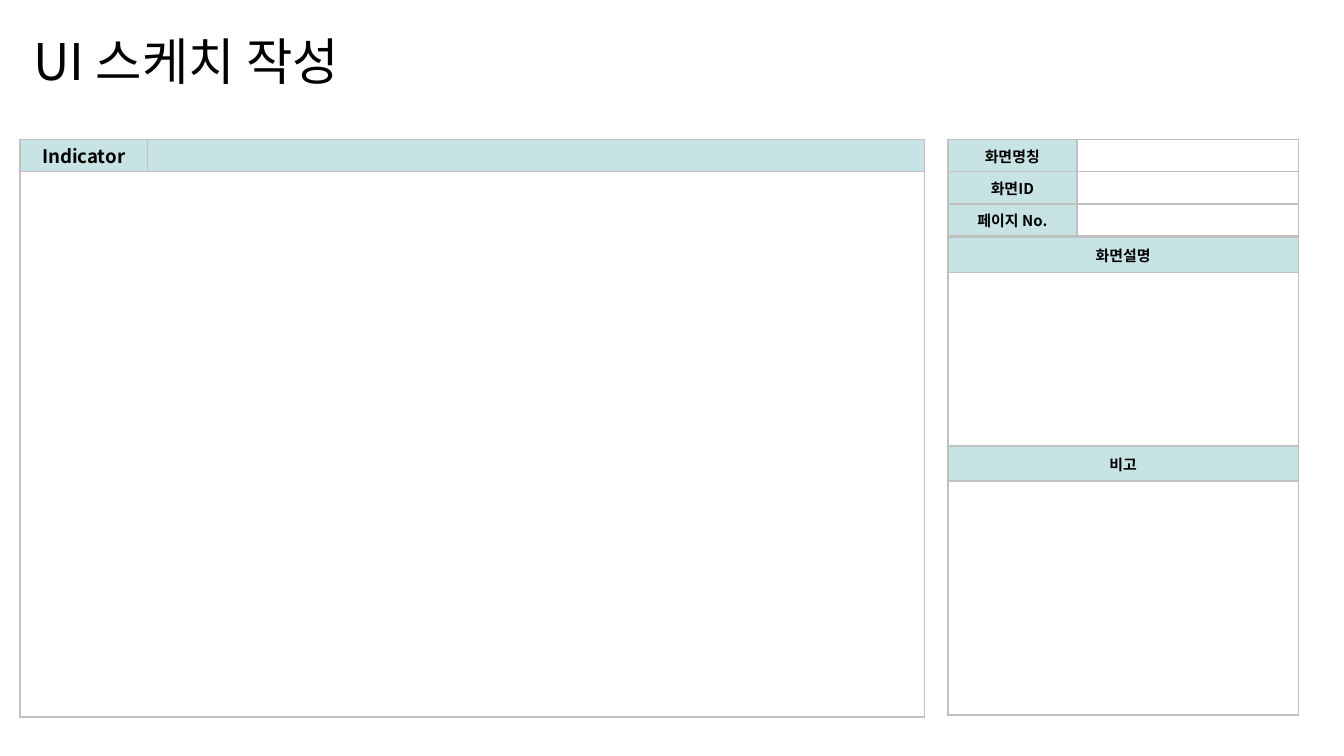
from lxml.etree import SubElement
from pptx import Presentation
from pptx.dml.color import RGBColor
from pptx.enum.text import MSO_ANCHOR, MSO_AUTO_SIZE, PP_ALIGN
from pptx.oxml import parse_xml
from pptx.oxml.ns import nsdecls, qn
from pptx.util import Pt

FONT = "Noto Sans CJK KR"
BLACK = RGBColor(0x00, 0x00, 0x00)
HEADER_FILL = RGBColor(0xC7, 0xE3, 0xE4)
BORDER = RGBColor(0xC0, 0xC0, 0xC0)

ROW = 17.28
TIGHT = 1.44


def write(frame, text, size=8, bold=False, align=PP_ALIGN.CENTER, line_spacing=None):
    paragraph = frame.paragraphs[0]
    paragraph.alignment = align
    paragraph.line_spacing = line_spacing
    run = paragraph.add_run()
    run.text = text
    run.font.size = Pt(size)
    run.font.bold = bold
    run.font.name = FONT
    run.font.color.rgb = BLACK
    # Korean glyphs take the East Asian typeface
    SubElement(run.font._element, qn("a:ea"), typeface=FONT)


def add_borders(cell):
    properties = cell._tc.get_or_add_tcPr()
    for index, side in enumerate(("lnL", "lnR", "lnT", "lnB")):
        properties.insert(index, parse_xml(
            f'<a:{side} {nsdecls("a")} w="{Pt(1)}"><a:solidFill>'
            f'<a:srgbClr val="{BORDER}"/></a:solidFill></a:{side}>'))


def add_grid(slide, box, columns, rows, labels, size=8, margin_x=7.2, margin_y=TIGHT):
    """Bordered table; labels maps (row, column) to the text of a header cell.

    A header cell with an empty label is filled only.
    """
    left, top, width, height = (Pt(length) for length in box)
    table = slide.shapes.add_table(
        len(rows), len(columns), left, top, width, height).table
    table.first_row = table.horz_banding = False
    for column, column_width in zip(table.columns, columns):
        column.width = Pt(column_width)
    for row, row_height in zip(table.rows, rows):
        row.height = Pt(row_height)

    for r in range(len(rows)):
        for c in range(len(columns)):
            cell = table.cell(r, c)
            cell.vertical_anchor = MSO_ANCHOR.MIDDLE
            cell.margin_left = cell.margin_right = Pt(margin_x)
            cell.margin_top = cell.margin_bottom = Pt(margin_y)
            if (r, c) in labels:
                cell.fill.solid()
                cell.fill.fore_color.rgb = HEADER_FILL
            else:
                cell.fill.background()
            add_borders(cell)
            label = labels.get((r, c))
            if label:
                write(cell.text_frame, label, size=size, bold=True)
            else:
                # Small empty text keeps the row at its height
                SubElement(cell.text_frame.paragraphs[0]._p,
                           qn("a:endParaRPr"), sz="800")
    return table


def place_title(slide, box):
    title = slide.shapes.title
    title.left, title.top, title.width, title.height = (Pt(length) for length in box)
    frame = title.text_frame
    frame.auto_size = MSO_AUTO_SIZE.NONE
    frame.vertical_anchor = MSO_ANCHOR.MIDDLE
    write(frame, "UI 스케치 작성", size=27, align=PP_ALIGN.LEFT, line_spacing=0.9)


def place_sketch_area(slide, box):
    width, height = box[2:]
    indicator = 68.4
    table = add_grid(slide, box, [indicator, width - indicator], [ROW, height - ROW],
                     {(0, 0): "Indicator", (0, 1): ""}, size=10)
    table.cell(1, 0).merge(table.cell(1, 1))


def place_screen_info(slide, box):
    width, height = box[2:]
    name_width = 69.12
    names = ["화면명칭", "화면ID", "페이지 No."]
    add_grid(slide, box, [name_width, width - name_width],
             [height / len(names)] * len(names),
             {(r, 0): name for r, name in enumerate(names)}, margin_x=5.76)


def place_description(slide, box):
    width, height = box[2:]
    header, description = 18.8, 92.9
    notes = height - 2 * header - description
    add_grid(slide, box, [width], [header, description, header, notes],
             {(0, 0): "화면설명", (2, 0): "비고"}, margin_y=3.6)


def main():
    presentation = Presentation()
    presentation.slide_width, presentation.slide_height = Pt(720), Pt(405)
    slide = presentation.slides.add_slide(presentation.slide_layouts[5])

    top, side_left, side_width = 74.7, 507.8, 187.9
    place_title(slide, (10.8, 12.24, 620.64, 44.64))
    place_sketch_area(slide, (10.6, top, 484.7, 309.6))
    place_screen_info(slide, (side_left, top, side_width, 3 * ROW))
    place_description(slide, (side_left, 127.2, side_width, 255.8))

    presentation.save("out.pptx")


if __name__ == "__main__":
    main()
